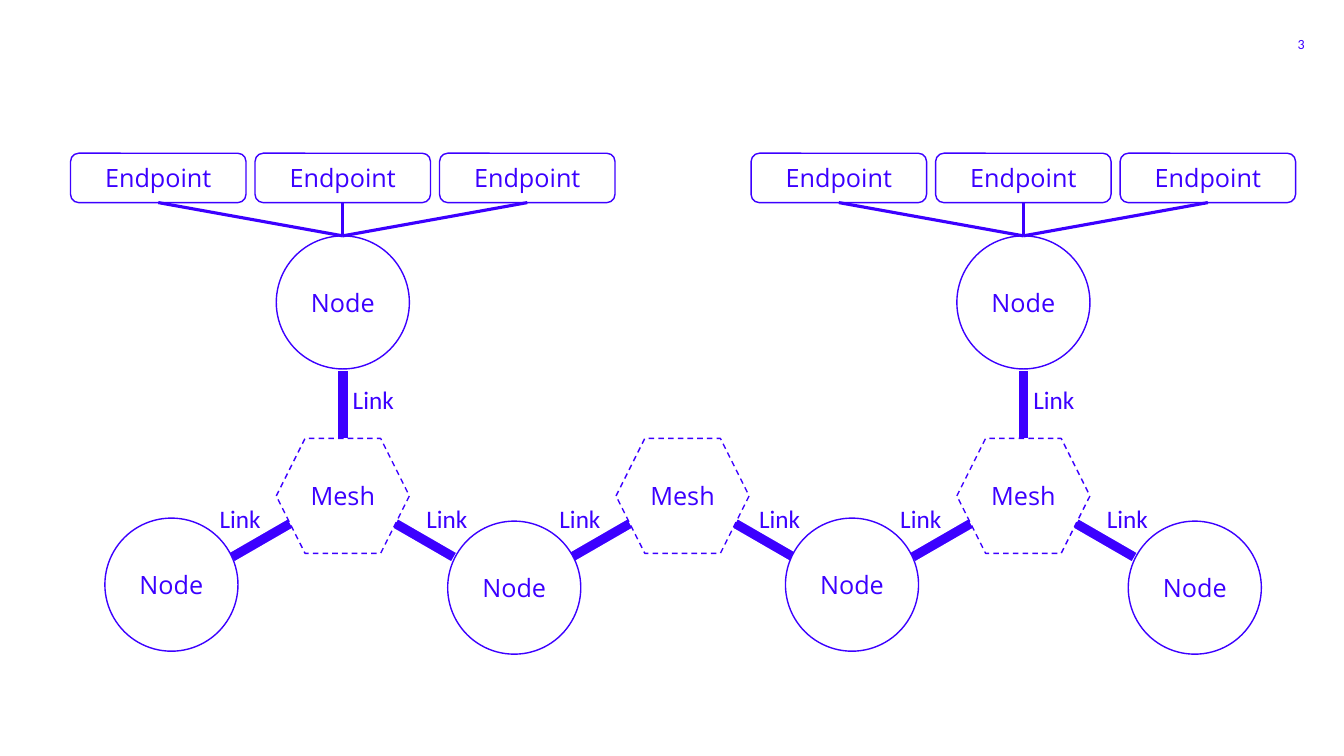
from lxml.etree import SubElement
from pptx import Presentation
from pptx.dml.color import RGBColor
from pptx.enum.dml import MSO_LINE
from pptx.enum.shapes import MSO_CONNECTOR, MSO_SHAPE as SHAPE
from pptx.enum.text import MSO_ANCHOR, PP_ALIGN
from pptx.oxml.ns import qn
from pptx.util import Inches, Pt

COLORS = {"ink": "3C00FF", "paper": "FFFFFF"}
LEFT_X, MIDDLE_X, RIGHT_X = 3.4, 6.77, 10.15
NODE_SIZE = 1.32
NODE_TOP = 2.34
MESH_TOP, MESH_HEIGHT = 4.35, 1.14
ENDPOINT_TOP, ENDPOINT_WIDTH, ENDPOINT_HEIGHT = 1.52, 1.74, 0.49
ENDPOINT_PITCH = 1.83
BAR_WIDTH, BAR_LENGTH = 0.11, 0.68
BAR_OFFSET, BAR_TOP = 0.81, 5.02
LABEL_TOP = 4.94


def rgb(name):
    return RGBColor.from_string(COLORS[name])


def add_run(p, text, font, size):
    r = p.add_run()
    r.text = text
    r.font.name = font
    r.font.size = Pt(size)
    r.font.color.rgb = rgb("ink")
    return r


def add_box(s, kind, x, y, w, h, fill="paper", line="ink"):
    sp = s.shapes.add_shape(kind, Inches(x), Inches(y), Inches(w), Inches(h))
    sp.shadow.inherit = False
    sp.fill.solid()
    sp.fill.fore_color.rgb = rgb(fill)
    sp.line.color.rgb = rgb(line)
    sp.line.width = Pt(1)
    return sp


def add_named_box(s, kind, text, x, y, w, h):
    sp = add_box(s, kind, x, y, w, h)
    tf = sp.text_frame
    tf.vertical_anchor = MSO_ANCHOR.MIDDLE
    p = tf.paragraphs[0]
    p.alignment = PP_ALIGN.CENTER
    add_run(p, text, "Open Sans", 18)
    return sp


def add_node(s, center, top):
    return add_named_box(s, SHAPE.OVAL, "Node", center - NODE_SIZE / 2, top,
                         NODE_SIZE, NODE_SIZE)


def add_mesh(s, center):
    sp = add_named_box(s, SHAPE.HEXAGON, "Mesh", center - NODE_SIZE / 2, MESH_TOP,
                       NODE_SIZE, MESH_HEIGHT)
    sp.line.dash_style = MSO_LINE.DASH


def add_link(s, center, top, label_x, label_y, rotation=0):
    bar = add_box(s, SHAPE.RECTANGLE, center - BAR_WIDTH / 2, top,
                  BAR_WIDTH, BAR_LENGTH, "ink", "paper")
    bar.rotation = rotation
    label = s.shapes.add_textbox(Inches(label_x), Inches(label_y),
                                 Inches(0.61), Inches(0.4))
    tf = label.text_frame
    tf.word_wrap = False
    add_run(tf.paragraphs[0], "Link", "Calibri", 18)


def add_side_links(s, center, right_label):
    add_link(s, center - BAR_OFFSET, BAR_TOP, center - 1.32, LABEL_TOP, 60)
    add_link(s, center + BAR_OFFSET, BAR_TOP, center + right_label, LABEL_TOP, 120)


def add_endpoints(s, center, node):
    for i in (-1, 0, 1):
        x = center + i * ENDPOINT_PITCH - ENDPOINT_WIDTH / 2
        endpoint = add_named_box(s, SHAPE.ROUNDED_RECTANGLE, "Endpoint", x,
                                 ENDPOINT_TOP, ENDPOINT_WIDTH, ENDPOINT_HEIGHT)
        line = s.shapes.add_connector(MSO_CONNECTOR.STRAIGHT, 0, 0, 0, 0)
        line.begin_connect(endpoint, 2)
        line.end_connect(node, 0)
        line.line.color.rgb = rgb("ink")
        line.line.width = Pt(2.25)
        SubElement(line.element.spPr, qn("a:effectLst"))


def add_page_number(s, number):
    sp = s.shapes.add_textbox(Inches(12.64), Inches(0.37), Inches(0.3), Inches(0.15))
    tf = sp.text_frame
    tf.word_wrap = True
    tf.margin_left = tf.margin_right = tf.margin_top = tf.margin_bottom = 0
    p = tf.paragraphs[0]
    p.alignment = PP_ALIGN.RIGHT
    p.line_spacing = 0.9
    r = add_run(p, number, "Calibri", 10)
    r.font.element.set("spc", "250") if hasattr(r.font, "element") else None


def main():
    prs = Presentation()
    prs.slide_width = Inches(13.33)
    prs.slide_height = Inches(7.5)
    s = prs.slides.add_slide(prs.slide_layouts[6])
    add_page_number(s, "3")
    for center in (LEFT_X, RIGHT_X):
        add_link(s, center, 3.67, center, 3.76)
        add_side_links(s, center, 0.73)
        add_endpoints(s, center, add_node(s, center, NODE_TOP))
    add_side_links(s, MIDDLE_X, 0.66)
    for center in (LEFT_X, RIGHT_X):
        add_node(s, center - 1.7, 5.14)
        add_node(s, center + 1.7, 5.17)
    for center in (LEFT_X, MIDDLE_X, RIGHT_X):
        add_mesh(s, center)
    prs.save("out.pptx")


if __name__ == "__main__":
    main()
